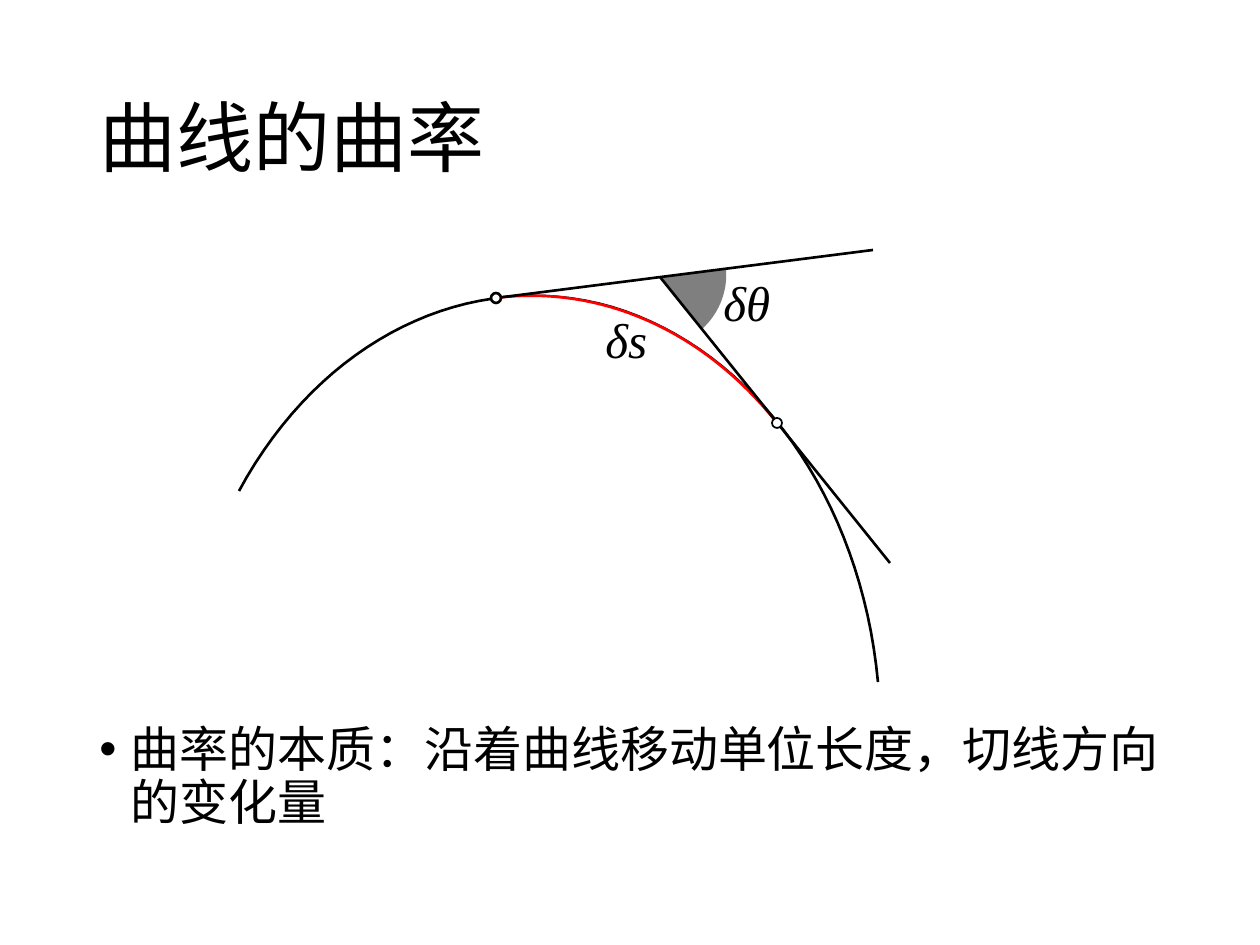
from dataclasses import dataclass

from lxml import etree
from pptx import Presentation
from pptx import util as u
from pptx.dml.color import RGBColor
from pptx.enum import shapes, text
from pptx.oxml.ns import qn

PX = 914400 / 126
CURVE_STEPS = 32


@dataclass(frozen=True)
class Theme:
    ink: str = "000000"
    paper: str = "FFFFFF"
    arc: str = "FF0000"
    angle: str = "7F7F7F"
    body_font: str = "Noto Sans CJK SC"
    math_font: str = "Times New Roman"
    title_size: int = 44
    text_size: int = 28
    stroke: float = 1.5
    thin_stroke: float = 1


THEME = Theme()


def px(value):
    return u.Emu(round(value * PX))


def bezier(start, control_a, control_b, end):
    """Sample a cubic curve as a list of points."""
    points = []
    for step in range(CURVE_STEPS + 1):
        t = step / CURVE_STEPS
        weights = ((1 - t) ** 3, 3 * t * (1 - t) ** 2, 3 * t**2 * (1 - t), t**3)
        corners = (start, control_a, control_b, end)
        points.append(tuple(sum(w * c[axis] for w, c in zip(weights, corners))
                            for axis in (0, 1)))
    return points


def style(shape, fill=None, line=None, width=THEME.stroke):
    shape.shadow.inherit = False
    if fill:
        shape.fill.solid()
        shape.fill.fore_color.rgb = RGBColor.from_string(fill)
    else:
        shape.fill.background()
    if line:
        shape.line.color.rgb = RGBColor.from_string(line)
        shape.line.width = u.Pt(width)
    else:
        shape.line.fill.background()


def add_outline(page, points, closed=False, **look):
    vertices = [(px(x), px(y)) for x, y in points]
    builder = page.shapes.build_freeform(*vertices[0])
    builder.add_line_segments(vertices[1:], close=closed)
    style(builder.convert_to_shape(), **look)


def add_tangent(page, start, end):
    line = page.shapes.add_connector(
        shapes.MSO_CONNECTOR.STRAIGHT, *map(px, start + end))
    line.line.color.rgb = RGBColor.from_string(THEME.ink)
    line.line.width = u.Pt(THEME.stroke)
    etree.SubElement(line._element.spPr, qn("a:effectLst"))


def add_point(page, center, width, diameter=10):
    x, y = (c - diameter / 2 for c in center)
    point = page.shapes.add_shape(
        shapes.MSO_SHAPE.OVAL, px(x), px(y), px(diameter), px(diameter))
    style(point, fill=THEME.paper, line=THEME.ink, width=width)


def place(box, left, top, width, height):
    box.left, box.top, box.width, box.height = map(px, (left, top, width, height))


def write(box, words, font, size, italic=False, spacing=None, bullet_indent=0):
    para = box.text_frame.paragraphs[0]
    para.alignment = text.PP_ALIGN.LEFT
    if spacing:
        para.line_spacing = spacing
    if bullet_indent:
        props = para._p.get_or_add_pPr()
        props.set("marL", str(u.Inches(bullet_indent)))
        props.set("indent", str(-u.Inches(bullet_indent)))
        etree.SubElement(props, qn("a:buFont"), typeface="Arial")
        etree.SubElement(props, qn("a:buChar"), char="•")
    span = para.add_run()
    span.text = words
    span.font.name = font
    span.font.size = u.Pt(size)
    span.font.italic = italic
    span.font.color.rgb = RGBColor.from_string(THEME.ink)
    etree.SubElement(span._r.get_or_add_rPr(), qn("a:ea"), typeface=font)


def add_text(page, frame, words, wrap=True, **look):
    box = page.shapes.add_textbox(*map(px, frame))
    box.text_frame.word_wrap = wrap
    write(box, words, size=THEME.text_size, **look)


def set_title(page, words):
    title = page.shapes.title
    place(title, 87, 50, 1086, 183)
    title.text_frame.vertical_anchor = text.MSO_ANCHOR.MIDDLE
    write(title, words, THEME.body_font, THEME.title_size, spacing=0.9)


def draw_curvature(page):
    first, second, crossing = (496, 298), (777, 423), (660, 277)
    curve = bezier((878, 682), (861, 499), (755, 350), (612, 307))
    curve += bezier((612, 307), (470, 266), (321, 339), (239, 491))[1:]
    add_outline(page, curve, line=THEME.ink)
    add_outline(page, bezier(second, (703, 330), (600, 285), first),
                fill=THEME.paper, line=THEME.arc)
    wedge = bezier((702, 329), (719, 314), (728, 291), (726, 269))
    add_outline(page, wedge + [crossing], closed=True, fill=THEME.angle)
    add_tangent(page, first, (873, 250))
    add_tangent(page, crossing, (890, 563))
    add_point(page, first, THEME.stroke)
    add_point(page, second, THEME.thin_stroke)
    for words, frame in (("δθ", (711, 266, 73, 72)), ("δs", (593, 303, 68, 72))):
        add_text(page, frame, words, wrap=False, font=THEME.math_font, italic=True)


def main():
    deck = Presentation()
    deck.slide_width, deck.slide_height = px(1260), px(945)
    page = deck.slides.add_slide(deck.slide_layouts[5])
    set_title(page, "曲线的曲率")
    add_text(page, (87, 719, 1086, 132),
             "曲率的本质：沿着曲线移动单位长度，切线方向的变化量",
             font=THEME.body_font, spacing=0.9, bullet_indent=0.25)
    draw_curvature(page)
    deck.save("out.pptx")


if __name__ == "__main__":
    main()
